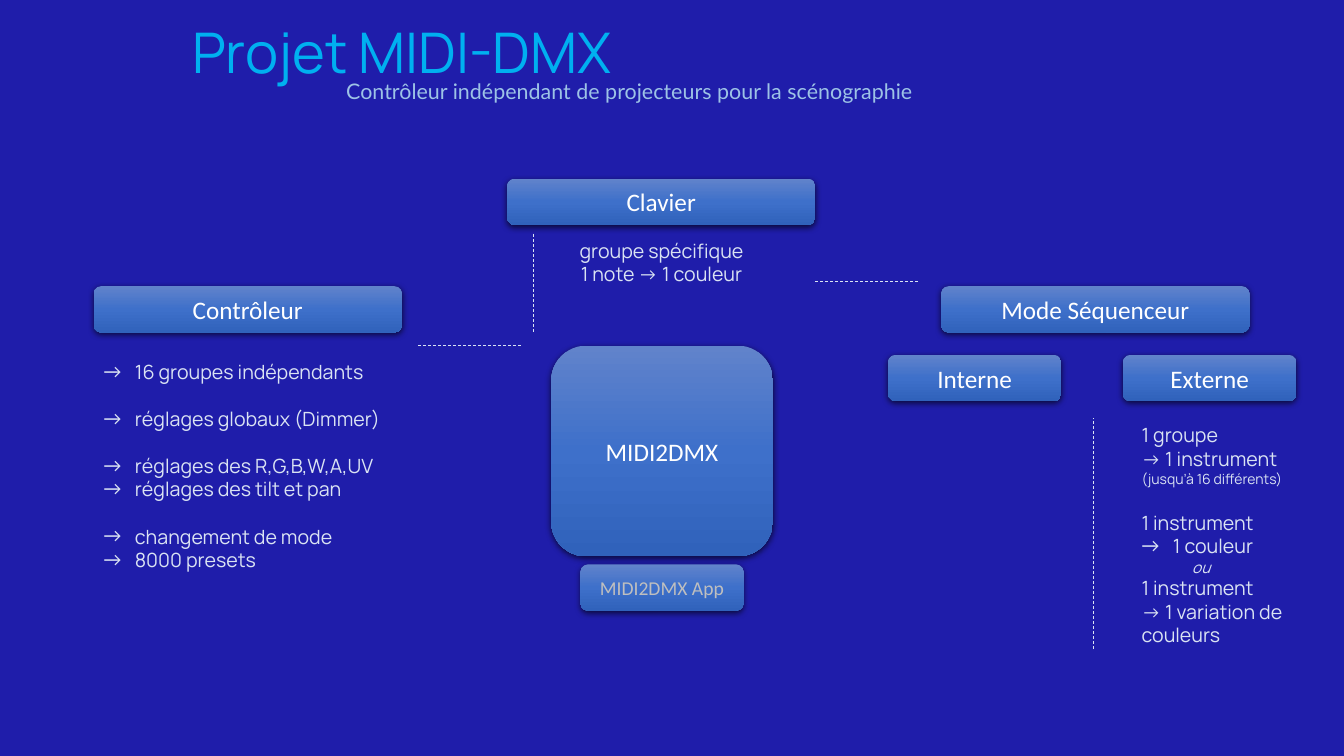
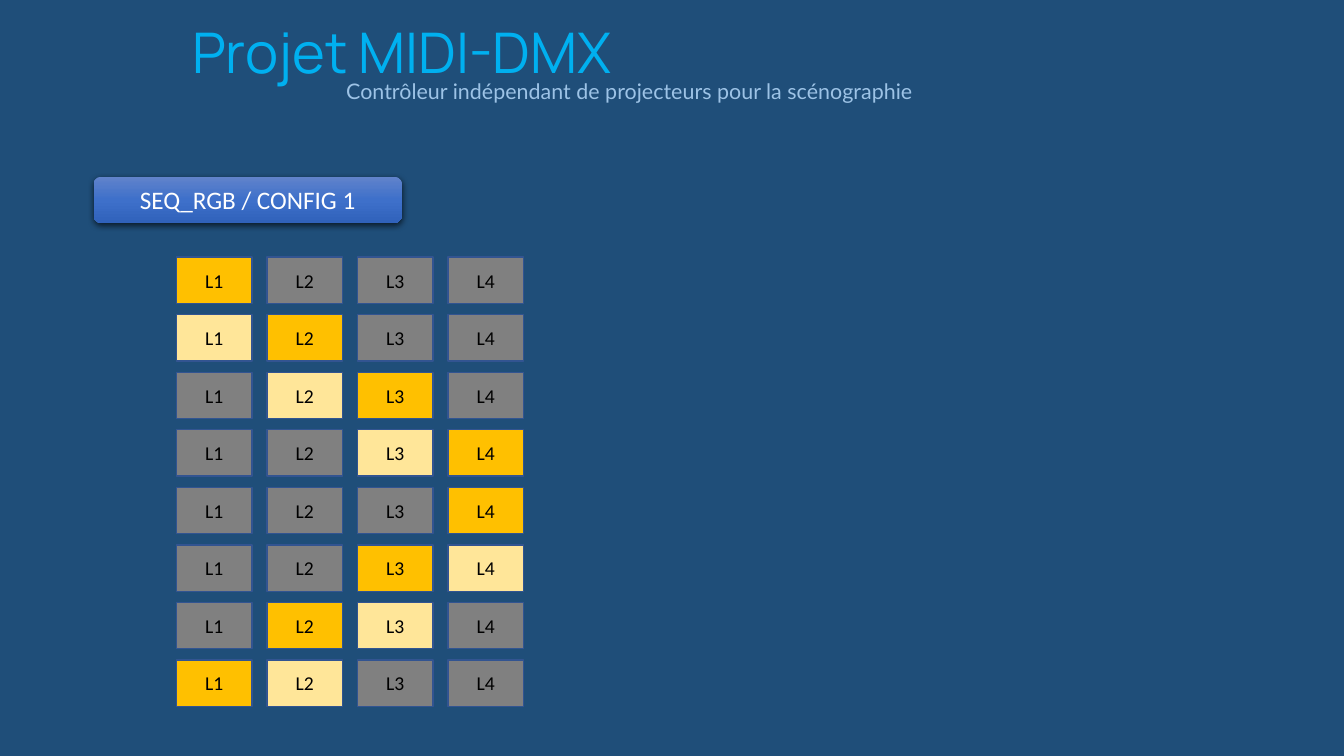
from lxml import etree
from pptx import Presentation
from pptx import util as u
from pptx.dml.color import RGBColor
from pptx.enum import dml, shapes, text
from pptx.oxml import parse_xml
from pptx.oxml.ns import nsdecls, qn

# Colours
INDIGO = RGBColor(0x1F, 0x1D, 0xAA)
NAVY = RGBColor(0x1F, 0x4E, 0x79)
CYAN = RGBColor(0x00, 0xB0, 0xF0)
SKY = RGBColor(0x9D, 0xC3, 0xE6)
PALE = RGBColor(0xDA, 0xE3, 0xF3)
WHITE = RGBColor(0xFF, 0xFF, 0xFF)
BLACK = RGBColor(0x00, 0x00, 0x00)
SILVER = RGBColor(0xBF, 0xBF, 0xBF)
GREY = RGBColor(0x80, 0x80, 0x80)
AMBER = RGBColor(0xFF, 0xC0, 0x00)
CREAM = RGBColor(0xFF, 0xE6, 0x99)
EDGE = RGBColor(0x32, 0x54, 0x91)
GLOSS = ((0, RGBColor(0x61, 0x83, 0xCB)),
         (50, RGBColor(0x3E, 0x70, 0xCA)),
         (100, RGBColor(0x30, 0x62, 0xBB)))

# Fonts and shared sizes in cm
HEAD_FONT, SUB_FONT, BOX_FONT = "Manrope", "Lato", "Calibri"
BAR_WIDTH, BAR_HEIGHT, MODE_WIDTH = 7.77, 1.17, 4.37
HANG = 0.79
GAP = 16.8  # points, one line of body text

# Sequence steps: lit, fading and off lamps
LAMP_FILL = {"#": AMBER, "+": CREAM, ".": GREY}
STEPS = ("#...", "+#..", ".+#.", "..+#", "...#", "..#+", ".#+.", "#+..")


def add_run(para, words, size, font, colour, italic=None):
    span = para.add_run()
    span.text = words
    span.font.size = u.Pt(size)
    span.font.name = font
    span.font.color.rgb = colour
    span.font.italic = italic


def add_lines(para, words, size, font, colour, italic=None):
    for index, line in enumerate(words.split("\n")):
        if index:
            para.add_line_break()
        add_run(para, line, size, font, colour, italic)


def set_indent(para, left, bullet=False):
    props = para._p.get_or_add_pPr()
    props.set("marL", str(u.Cm(left)))
    props.set("indent", str(-u.Cm(left) if bullet else 0))
    if bullet:
        etree.SubElement(props, qn("a:buFont")).set("typeface", BOX_FONT)
        etree.SubElement(props, qn("a:buChar")).set("char", "→")


def add_text_box(page, left, top, width, height):
    box = page.shapes.add_textbox(u.Cm(left), u.Cm(top), u.Cm(width), u.Cm(height))
    box.text_frame.word_wrap = True
    return box.text_frame


def add_heading(page, place, words, size, font, colour, spacing, anchor):
    frame = add_text_box(page, *place)
    frame.vertical_anchor = anchor
    para = frame.paragraphs[0]
    para.alignment = text.PP_ALIGN.CENTER
    para.line_spacing = spacing
    add_run(para, words, size, font, colour)


def add_body(page, place, items, align=None):
    """Each item: words, then a dict of size, italic, left, bullet, before."""
    frame = add_text_box(page, *place)
    frame.auto_size = text.MSO_AUTO_SIZE.SHAPE_TO_FIT_TEXT
    for index, (words, style) in enumerate(items):
        para = frame.add_paragraph() if index else frame.paragraphs[0]
        para.alignment = align
        if "before" in style:
            para.space_before = u.Pt(style["before"])
        if "left" in style:
            set_indent(para, style["left"], style.get("bullet", False))
        add_lines(para, words, style.get("size", 14), HEAD_FONT, PALE, style.get("italic"))


def add_label_shape(page, kind, place, words, size, colour):
    left, top, width, height = place
    shape = page.shapes.add_shape(kind, u.Cm(left), u.Cm(top), u.Cm(width), u.Cm(height))
    frame = shape.text_frame
    frame.word_wrap = True
    frame.vertical_anchor = text.MSO_ANCHOR.MIDDLE
    para = frame.paragraphs[0]
    para.alignment = text.PP_ALIGN.CENTER
    add_run(para, words, size, BOX_FONT, colour)
    return shape


def add_button(page, left, top, width, words, height=BAR_HEIGHT, size=18, colour=WHITE):
    """Rounded box with a glossy gradient and a soft shadow."""
    shape = add_label_shape(page, shapes.MSO_SHAPE.ROUNDED_RECTANGLE,
                            (left, top, width, height), words, size, colour)
    stops = "".join(f'<a:gs pos="{place * 1000}"><a:srgbClr val="{shade}"/></a:gs>'
                    for place, shade in GLOSS)
    props = shape._element.spPr
    props.append(parse_xml(f'<a:gradFill {nsdecls("a")} rotWithShape="1"><a:gsLst>{stops}</a:gsLst>'
                           '<a:lin ang="5400000" scaled="0"/></a:gradFill>'))
    shape.line.fill.background()
    props.append(parse_xml(
        f'<a:effectLst {nsdecls("a")}><a:outerShdw blurRad="{u.Pt(4.5)}" dist="{u.Pt(1.5)}" '
        'dir="5400000" algn="ctr" rotWithShape="0"><a:srgbClr val="000000">'
        '<a:alpha val="63000"/></a:srgbClr></a:outerShdw></a:effectLst>'))


def add_lamp(page, left, top, words, fill):
    shape = add_label_shape(page, shapes.MSO_SHAPE.RECTANGLE,
                            (left, top, 1.9, BAR_HEIGHT), words, 14, BLACK)
    shape.shadow.inherit = False
    shape.fill.solid()
    shape.fill.fore_color.rgb = fill
    shape.line.color.rgb = EDGE
    shape.line.width = u.Pt(1)


def add_dashes(page, x1, y1, x2, y2):
    line = page.shapes.add_connector(shapes.MSO_CONNECTOR.STRAIGHT,
                                     u.Cm(x1), u.Cm(y1), u.Cm(x2), u.Cm(y2))
    line.line.color.rgb = PALE
    line.line.width = u.Pt(0.5)
    line.line.dash_style = dml.MSO_LINE.DASH
    etree.SubElement(line._element.spPr, qn("a:effectLst"))


def add_page(deck, background):
    """Blank page with the shared background, title and subtitle."""
    page = deck.slides.add_slide(deck.slide_layouts[6])
    page.background.fill.solid()
    page.background.fill.fore_color.rgb = background
    add_heading(page, (0.51, 0.53, 19.23, 1.75), "Projet MIDI-DMX",
                40, HEAD_FONT, CYAN, 0.9, text.MSO_ANCHOR.BOTTOM)
    add_heading(page, (5.82, 1.96, 20.09, 1.17),
                "Contrôleur indépendant de projecteurs pour la scénographie",
                15.3, SUB_FONT, SKY, 0.8, text.MSO_ANCHOR.TOP)
    return page


def build_overview(deck):
    page = add_page(deck, INDIGO)
    # Hub and its application
    add_button(page, 13.89, 8.71, 5.59, "MIDI2DMX", height=5.31)
    add_button(page, 14.63, 14.22, 4.11, "MIDI2DMX App", size=14, colour=SILVER)
    # Functions around the hub
    add_button(page, 2.36, 7.21, BAR_WIDTH, "Contrôleur")
    add_button(page, 12.78, 4.5, BAR_WIDTH, "Clavier")
    add_button(page, 23.72, 7.21, BAR_WIDTH, "Mode Séquenceur")
    add_button(page, 22.38, 8.94, MODE_WIDTH, "Interne")
    add_button(page, 28.3, 8.94, MODE_WIDTH, "Externe")
    # Explanations
    arrow = {"left": HANG, "bullet": True}
    spaced = {**arrow, "before": GAP}
    add_body(page, (2.36, 8.94, BAR_WIDTH, 5.64), (
        ("16 groupes indépendants", arrow),
        ("réglages globaux (Dimmer)", spaced),
        ("réglages des R,G,B,W,A,UV", spaced),
        ("réglages des tilt et pan", arrow),
        ("changement de mode", spaced),
        ("8000 presets", arrow)))
    add_body(page, (12.8, 5.89, 7.75, 1.45),
             (("groupe spécifique\n1 note → 1 couleur", {}),), text.PP_ALIGN.CENTER)
    add_body(page, (28.52, 10.54, 4.11, 6.07), (
        ("1 groupe\n→ 1 instrument", {}),
        ("(jusqu’à 16 différents)", {"size": 10}),
        ("1 instrument", {"before": GAP}),
        ("1 couleur", arrow),
        ("ou", {"size": 11, "italic": True, "left": 1.27}),
        ("1 instrument", {}),
        ("→ 1 variation de couleurs", {})))
    # Separators
    add_dashes(page, 13.44, 5.89, 13.44, 8.38)
    add_dashes(page, 10.54, 8.71, 13.16, 8.71)
    add_dashes(page, 20.55, 7.09, 23.19, 7.09)
    add_dashes(page, 27.56, 16.36, 27.56, 10.54)


def build_sequence(deck):
    page = add_page(deck, NAVY)
    add_button(page, 2.36, 4.45, BAR_WIDTH, "SEQ_RGB / CONFIG 1")
    # One row of lamps per step
    for row, step in enumerate(STEPS):
        for column, state in enumerate(step):
            add_lamp(page, 4.45 + 2.28 * column, 6.48 + 1.45 * row,
                     f"L{column + 1}", LAMP_FILL[state])


def main():
    deck = Presentation()
    deck.slide_width, deck.slide_height = u.Cm(33.87), u.Cm(19.05)
    build_overview(deck)
    build_sequence(deck)
    deck.save("out.pptx")


main()
